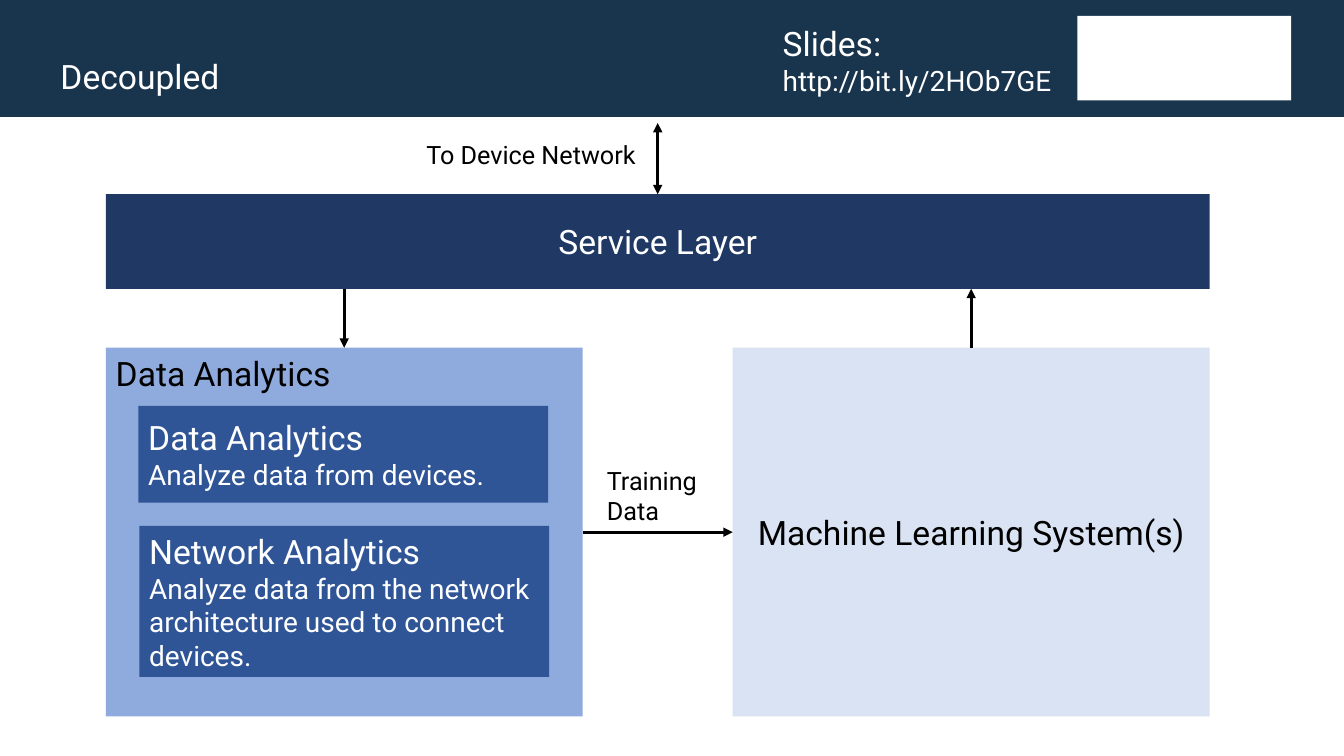
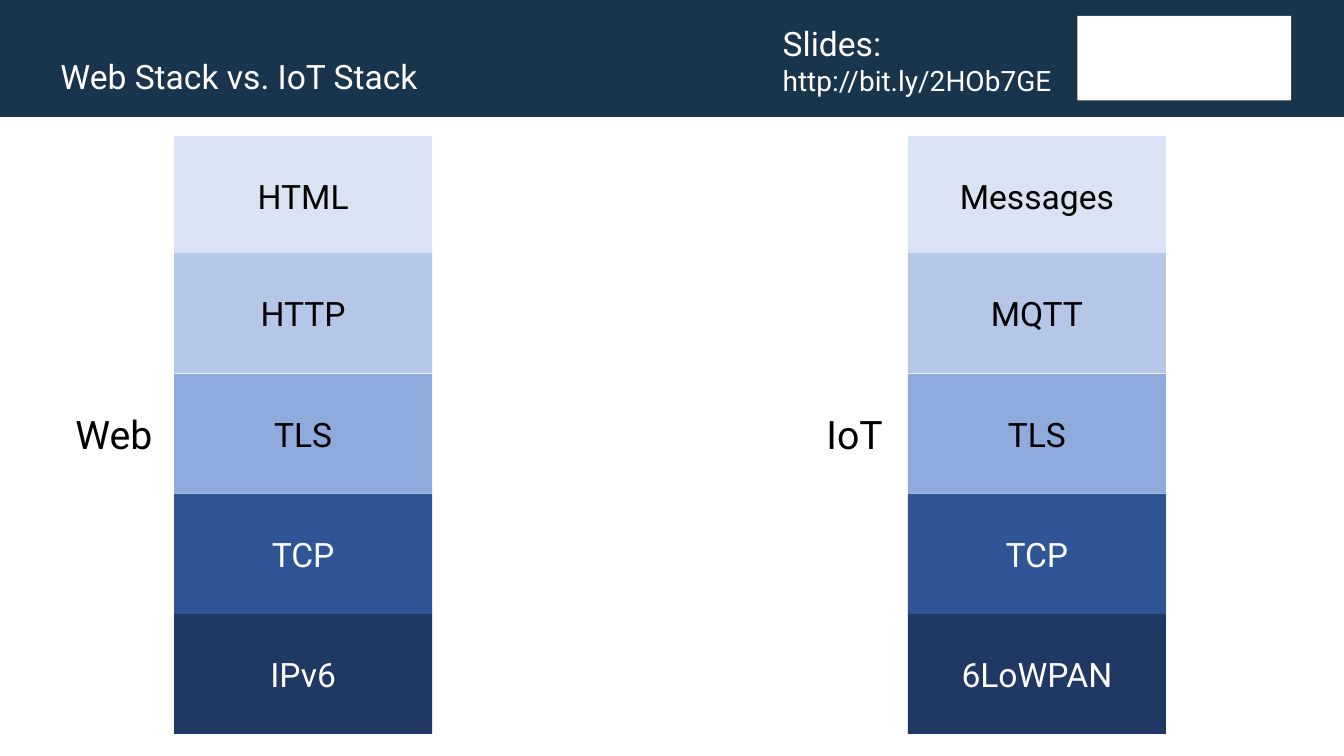
from lxml import etree
from pptx import Presentation
from pptx.dml.color import RGBColor
from pptx.enum.shapes import MSO_CONNECTOR, MSO_SHAPE
from pptx.enum.text import MSO_ANCHOR, MSO_AUTO_SIZE, PP_ALIGN
from pptx.oxml.ns import qn
from pptx.util import Pt

RECT = MSO_SHAPE.RECTANGLE
LINE = MSO_CONNECTOR.STRAIGHT
TOP, MID, LOW = MSO_ANCHOR.TOP, MSO_ANCHOR.MIDDLE, MSO_ANCHOR.BOTTOM
LEFT, MIDDLE = PP_ALIGN.LEFT, PP_ALIGN.CENTER
FIT, FIXED = MSO_AUTO_SIZE.SHAPE_TO_FIT_TEXT, MSO_AUTO_SIZE.NONE

FONT = "Roboto"
WIDE, HIGH = 960, 540
BAND = "19344D"
WHITE, BLACK = "FFFFFF", "000000"
PALE, LIGHT, SOFT, DEEP, NAVY = "DAE3F3", "B4C7E7", "8FAADC", "2F5597", "203864"
LINK = [("Slides:", 24), ("http://bit.ly/2HOb7GE", 20)]
LAYERS = [
    (97.2, PALE, BLACK),
    (180.8, LIGHT, BLACK),
    (267, SOFT, BLACK),
    (352.8, DEEP, WHITE),
    (438.5, NAVY, WHITE),
]


def paint(color, tint):
    color.rgb = RGBColor.from_string(tint)


def fill(shape, tint):
    shape.fill.solid()
    paint(shape.fill.fore_color, tint)


def write(frame, lines, ink, align=LEFT):
    frame.text = "\n".join(text for text, size in lines)
    for para, (text, size) in zip(frame.paragraphs, lines):
        para.alignment = align
        for run in para.runs:
            run.font.name = FONT
            run.font.size = Pt(size)
            paint(run.font.color, ink)


def block(slide, at, tint, lines=(), ink=WHITE, align=MIDDLE, anchor=MID):
    shape = slide.shapes.add_shape(RECT, *map(Pt, at))
    shape.shadow.inherit = False
    shape.line.fill.background()
    fill(shape, tint)
    if lines:
        shape.text_frame.vertical_anchor = anchor
        write(shape.text_frame, lines, ink, align)


def label(slide, at, lines, ink=BLACK, wrap=True):
    frame = slide.shapes.add_textbox(*map(Pt, at)).text_frame
    frame.word_wrap = wrap
    frame.auto_size = FIT
    write(frame, lines, ink)


def arrow(slide, start, end, ends=("tailEnd",)):
    link = slide.shapes.add_connector(LINE, *map(Pt, start + end))
    link.line.width = Pt(2.25)
    paint(link.line.color, BLACK)
    props = link.element.spPr
    line = props.find(qn("a:ln"))
    for end_tag in ends:
        etree.SubElement(line, qn("a:" + end_tag), type="triangle")
    etree.SubElement(props, qn("a:effectLst"))


def header(deck, text):
    slide = deck.slides.add_slide(deck.slide_layouts[5])
    title = slide.shapes.title
    title.left, title.top, title.width, title.height = map(Pt, (0, 0, WIDE, 83.5))
    fill(title, BAND)
    frame = title.text_frame
    frame.auto_size = FIXED
    frame.word_wrap = True
    frame.vertical_anchor = LOW
    frame.margin_left = frame.margin_right = Pt(7.2)
    frame.margin_top, frame.margin_bottom = Pt(3.6), Pt(14.4)
    write(frame, [(text, 24)], WHITE)
    para = frame.paragraphs[0]
    para.line_spacing = 0.9
    para.space_after = Pt(6)
    props = para._p.get_or_add_pPr()
    props.set("marL", str(Pt(36)))
    props.set("indent", "0")
    block(slide, (769.5, 11.3, 152.7, 60.5), WHITE)
    label(slide, (552, 13, 211, 60.5), LINK, WHITE)
    return slide


def system(deck):
    slide = header(deck, "Decoupled")
    left, right, wide = 75.6, 523.4, 340.6
    top, high = 248.4, 263.4
    roof, floor = 138.7, 206.3
    half = wide / 2
    block(slide, (left, top, wide, high), SOFT,
          [("Data Analytics", 24)], BLACK, LEFT, TOP)
    block(slide, (98.8, 290, 292.8, 69), DEEP,
          [("Data Analytics", 24), ("Analyze data from devices.", 20)], align=LEFT)
    block(slide, (99.5, 375.6, 292.8, 108), DEEP,
          [("Network Analytics", 24),
           ("Analyze data from the network architecture used to connect devices.", 20)],
          align=LEFT)
    block(slide, (right, top, wide, high), PALE,
          [("Machine Learning System(s)", 24)], BLACK)
    block(slide, (left, roof, right + wide - left, floor - roof), NAVY,
          [("Service Layer", 24)])
    arrow(slide, (left + half, floor), (left + half, top))
    arrow(slide, (right + half, top), (right + half, floor))
    arrow(slide, (469.8, roof), (469.8, 87.8), ("headEnd", "tailEnd"))
    arrow(slide, (left + wide, top + high / 2), (right, top + high / 2))
    label(slide, (297.4, 96, 170.6, 29), [("To Device Network", 18)])
    label(slide, (426.4, 329, 107.3, 51), [("Training Data", 18)])


def stack(slide, left, names):
    for name, (top, tint, ink) in zip(names, LAYERS):
        block(slide, (left, top, 184.3, 85.7), tint, [(name, 24)], ink)


def compare(deck):
    slide = header(deck, "Web Stack vs. IoT Stack")
    stack(slide, 124.4, ["HTML", "HTTP", "TLS", "TCP", "IPv6"])
    stack(slide, 648.5, ["Messages", "MQTT", "TLS", "TCP", "6LoWPAN"])
    label(slide, (46.8, 289.4, 70.6, 41), [("Web", 28)], wrap=False)
    label(slide, (583.2, 289.4, 56.2, 41), [("IoT", 28)], wrap=False)


def main():
    deck = Presentation()
    deck.slide_width, deck.slide_height = Pt(WIDE), Pt(HIGH)
    system(deck)
    compare(deck)
    deck.save("out.pptx")


if __name__ == "__main__":
    main()
